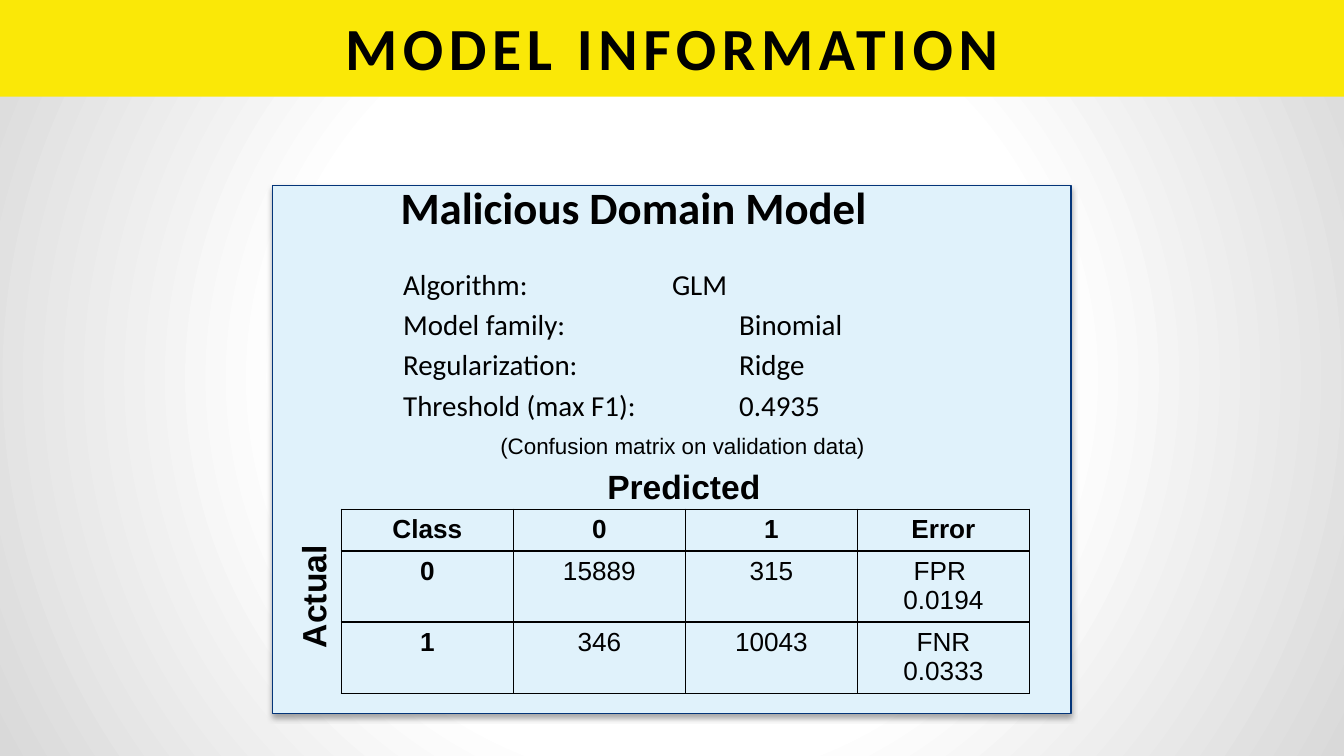
import dataclasses

import lxml.etree
import pptx
import pptx.dml.color
import pptx.enum.shapes
import pptx.enum.text
import pptx.oxml
import pptx.oxml.ns
import pptx.util

Inches = pptx.util.Inches
Pt = pptx.util.Pt
Align = pptx.enum.text.PP_ALIGN
Anchor = pptx.enum.text.MSO_ANCHOR
qn = pptx.oxml.ns.qn
NAMESPACE = pptx.oxml.ns.nsdecls("a")


@dataclasses.dataclass(frozen=True)
class Theme:
    ink: str = "000000"
    band: str = "FAE807"
    panel: str = "E0F2FB"
    panel_line: str = "043579"
    glow: str = "FFFFFF"
    edge: str = "D9D9D9"
    heading_font: str = "Calibri"
    matrix_font: str = "Arial"
    title_size: float = 32
    heading_size: float = 24
    axis_size: float = 18
    body_size: float = 15.5
    cell_size: float = 14
    note_size: float = 12


@dataclasses.dataclass(frozen=True)
class Place:
    left: float
    top: float
    width: float
    height: float

    def lengths(self) -> tuple:
        return tuple(Inches(value) for value in dataclasses.astuple(self))


@dataclasses.dataclass(frozen=True)
class Setting:
    label: str
    value: str
    tabs: int = 3


@dataclasses.dataclass(frozen=True)
class Label:
    text: str
    place: Place
    size: float
    bold: bool = False
    align: Align = Align.LEFT
    rotation: float = 0


THEME = Theme()

SETTINGS = [
    Setting("Algorithm: ", "GLM"),
    Setting("Model family:", "Binomial"),
    Setting("Regularization:", "Ridge"),
    Setting("Threshold (max F1):", "0.4935", tabs=2),
]

LABELS = [
    Label("(Confusion matrix on validation data)", Place(2.81, 3.17, 4.54, 0.3),
          THEME.note_size, align=Align.CENTER),
    Label("Actual", Place(1.75, 4.14, 1.16, 0.4), THEME.axis_size, bold=True, rotation=270),
    Label("Predicted", Place(4.42, 3.42, 2.42, 0.4), THEME.axis_size, bold=True),
]

MATRIX = [
    ["Class", "0", "1", "Error"],
    ["0", "15889", "315", "FPR \n0.0194"],
    ["1", "346", "10043", "FNR\n0.0333"],
]
COLUMN_WIDTH = 1.28
ROW_HEIGHTS = [0.31, 0.53, 0.53]


def color(value: str) -> pptx.dml.color.RGBColor:
    return pptx.dml.color.RGBColor.from_string(value)


def apply_format(target, values: dict) -> None:
    for name, value in values.items():
        setattr(target, name, value)


def format_font(font, name: str, size: float, bold: bool = False) -> None:
    apply_format(font, {"name": name, "size": Pt(size), "bold": bold})
    font.color.rgb = color(THEME.ink)


def set_place(shape, place: Place) -> None:
    names = ("left", "top", "width", "height")
    apply_format(shape, dict(zip(names, place.lengths())))


def paint_background(slide) -> None:
    slide.background.fill.gradient()
    gradient = slide.element.find(".//" + qn("a:gradFill"))
    source = f"""<a:gradFill {NAMESPACE} rotWithShape="1"><a:gsLst>
        <a:gs pos="50000"><a:srgbClr val="{THEME.glow}"/></a:gs>
        <a:gs pos="100000"><a:srgbClr val="{THEME.edge}"/></a:gs></a:gsLst>
        <a:path path="circle"><a:fillToRect l="50000" t="50000" r="50000" b="50000"/></a:path>
        </a:gradFill>"""
    gradient.getparent().replace(gradient, pptx.oxml.parse_xml(source))


def add_rectangle(slide, place: Place, fill: str):
    kind = pptx.enum.shapes.MSO_SHAPE.RECTANGLE
    box = slide.shapes.add_shape(kind, *place.lengths())
    box.shadow.inherit = False
    box.fill.solid()
    box.fill.fore_color.rgb = color(fill)
    box.line.fill.background()
    # Rectangles sit behind the placeholders
    slide.shapes.element.insert(2, box.element)
    return box


def add_panel(slide, place: Place) -> None:
    panel = add_rectangle(slide, place, THEME.panel)
    panel.line.color.rgb = color(THEME.panel_line)
    panel.line.width = Pt(0.75)
    effects = panel.element.spPr.find(qn("a:effectLst"))
    effects.append(pptx.oxml.parse_xml(
        f'<a:outerShdw {NAMESPACE} blurRad="{Pt(3.1)}" dist="{Pt(1.8)}" dir="5400000" '
        'rotWithShape="0"><a:srgbClr val="000000"><a:alpha val="35000"/></a:srgbClr>'
        '</a:outerShdw>'))


def fill_placeholder(box, place: Place, anchor: Anchor):
    set_place(box, place)
    apply_format(box.text_frame, {
        "word_wrap": True,
        "auto_size": pptx.enum.text.MSO_AUTO_SIZE.NONE,
        "vertical_anchor": anchor,
    })
    return box.text_frame


def add_plain_line(para, text: str, size: float, space: float = 0, bold: bool = False):
    para.space_before = Pt(space)
    properties = para._p.get_or_add_pPr()
    properties.set("marL", "0")
    properties.set("indent", "0")
    lxml.etree.SubElement(properties, qn("a:buNone"))
    span = para.add_run()
    span.text = text
    format_font(span.font, THEME.heading_font, size, bold)
    return span


def add_settings(frame, settings: list[Setting]) -> None:
    for index, setting in enumerate(settings):
        para = frame.paragraphs[0] if index == 0 else frame.add_paragraph()
        text = setting.label + "\t" * setting.tabs + setting.value
        add_plain_line(para, text, THEME.body_size, space=3.1 if index else 0)


def add_label(slide, label: Label) -> None:
    box = slide.shapes.add_textbox(*label.place.lengths())
    box.rotation = label.rotation
    box.text_frame.word_wrap = True
    para = box.text_frame.paragraphs[0]
    para.alignment = label.align
    span = para.add_run()
    span.text = label.text
    format_font(span.font, THEME.matrix_font, label.size, label.bold)


def add_borders(cell) -> None:
    properties = cell._tc.get_or_add_tcPr()
    for index, side in enumerate(("lnL", "lnR", "lnT", "lnB")):
        properties.insert(index, pptx.oxml.parse_xml(
            f'<a:{side} {NAMESPACE} w="{Pt(1)}"><a:solidFill>'
            f'<a:srgbClr val="{THEME.ink}"/></a:solidFill></a:{side}>'))


def add_matrix(slide, left: float, top: float) -> None:
    rows, columns = len(MATRIX), len(MATRIX[0])
    place = Place(left, top, columns * COLUMN_WIDTH, sum(ROW_HEIGHTS))
    table = slide.shapes.add_table(rows, columns, *place.lengths()).table
    apply_format(table, {"first_row": False, "horz_banding": False})
    for column in table.columns:
        column.width = Inches(COLUMN_WIDTH)
    for r, values in enumerate(MATRIX):
        table.rows[r].height = Inches(ROW_HEIGHTS[r])
        for c, value in enumerate(values):
            cell = table.cell(r, c)
            apply_format(cell, {"text": value, "margin_top": Inches(0.04),
                                "margin_bottom": Inches(0.04)})
            cell.fill.background()
            add_borders(cell)
            for para in cell.text_frame.paragraphs:
                para.alignment = Align.CENTER
                format_font(para.runs[0].font, THEME.matrix_font, THEME.cell_size,
                            bold=r == 0 or c == 0)


def main() -> None:
    deck = pptx.Presentation()
    # Widescreen, 16 to 9
    apply_format(deck, {"slide_width": Inches(10), "slide_height": Inches(10 * 9 / 16)})
    page = deck.slides.add_slide(deck.slide_layouts.get_by_name("Comparison"))
    paint_background(page)

    # Placeholders: title, model name, model settings
    title, heading, body, *unused = page.placeholders
    for box in unused:
        box.element.getparent().remove(box.element)
    frame = fill_placeholder(title, Place(0.5, -0.01, 9, 0.72), Anchor.MIDDLE)
    frame.paragraphs[0].alignment = Align.CENTER
    span = add_plain_line(frame.paragraphs[0], "MODEL INFORMATION", THEME.title_size, bold=True)
    span.font._element.set("spc", "300")
    frame = fill_placeholder(heading, Place(2.88, 1.27, 4.42, 0.52), Anchor.BOTTOM)
    add_plain_line(frame.paragraphs[0], "Malicious Domain Model", THEME.heading_size, bold=True)
    add_settings(fill_placeholder(body, Place(2.9, 1.93, 4.53, 1.41), Anchor.TOP), SETTINGS)

    # Panel and title band
    add_panel(page, Place(2.03, 1.38, 5.94, 3.93))
    add_rectangle(page, Place(0, 0, 10, 0.72), THEME.band)

    # Confusion matrix with its labels
    add_matrix(page, 2.54, 3.79)
    for label in LABELS:
        add_label(page, label)

    deck.save("out.pptx")


if __name__ == "__main__":
    main()
